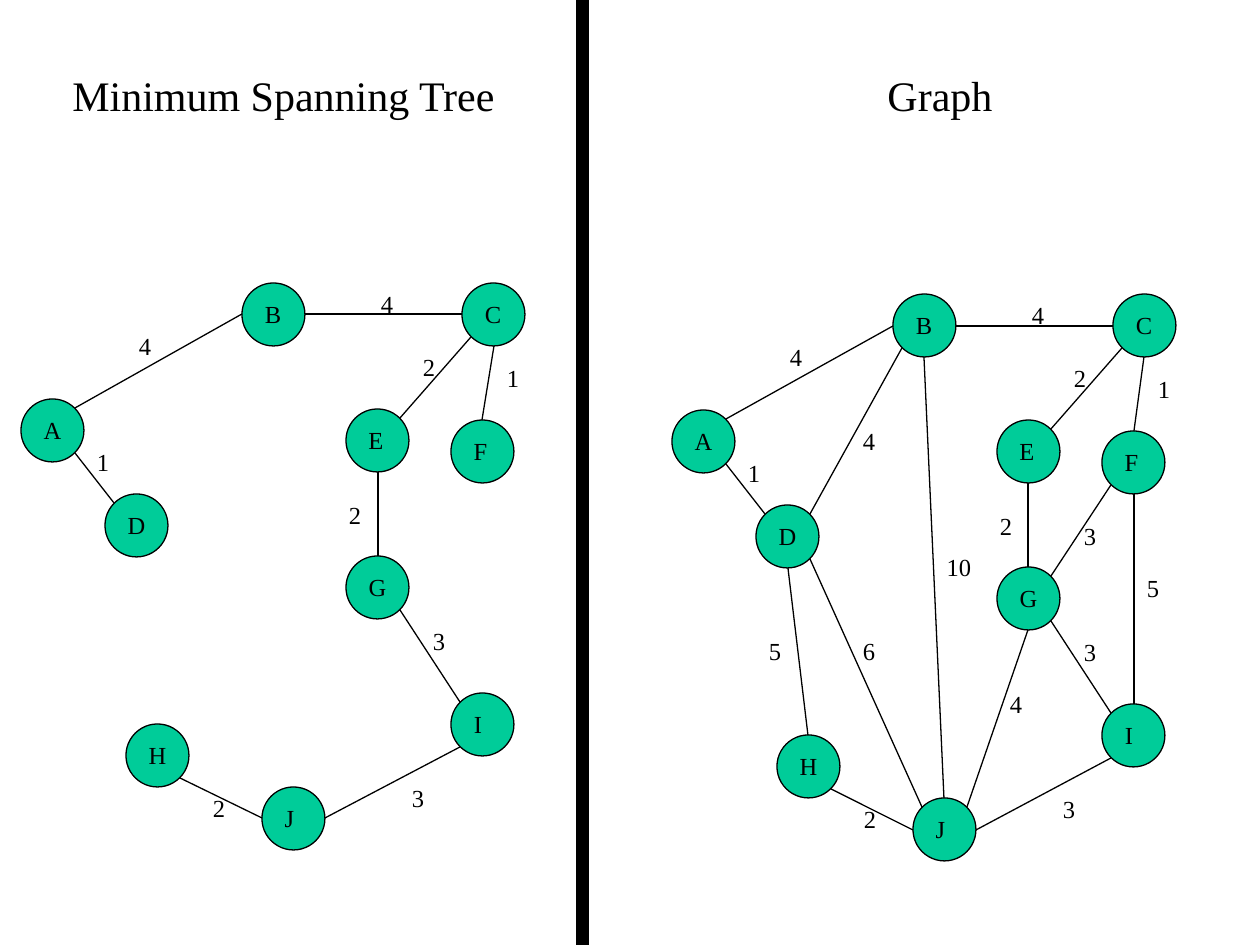
import math
from lxml import etree
from pptx import Presentation
from pptx import util as u
from pptx.dml.color import RGBColor
from pptx.enum import shapes, text
from pptx.oxml import ns

SCALE = 914400 // 126
COLORS = {"node": "00CC99", "ink": "000000"}
FONT = "Times New Roman"
DIAMETER = 63
COMPASS = ["E", "SE", "S", "SW", "W", "NW", "N", "NE"]

prs = Presentation()
prs.slide_width, prs.slide_height = u.Inches(10), u.Inches(7.5)
s = prs.slides.add_slide(prs.slide_layouts[6])
ink = RGBColor.from_string(COLORS["ink"])


def add_box(kind, box, fill):
    sp = s.shapes.add_shape(kind, *[v * SCALE for v in box])
    sp.shadow.inherit = False
    sp.fill.solid()
    sp.fill.fore_color.rgb = RGBColor.from_string(COLORS[fill])
    sp.line.color.rgb = ink
    sp.line.width = u.Pt(0.75)


def add_text(words, box, size=14, wrap=False):
    tf = s.shapes.add_textbox(*[v * SCALE for v in box]).text_frame
    tf.word_wrap = wrap
    tf.auto_size = text.MSO_AUTO_SIZE.SHAPE_TO_FIT_TEXT
    p = tf.paragraphs[0]
    p.alignment = text.PP_ALIGN.CENTER
    r = p.add_run()
    r.text = words
    for name, value in {"name": FONT, "size": u.Pt(size)}.items():
        setattr(r.font, name, value)
    r.font.color.rgb = ink


nodes = {
    "A": (21, 399, 43), "B": (242, 283, 42), "C": (462, 283, 42),
    "D": (105, 494, 43), "E": (346, 409, 40), "F": (451, 420, 39),
    "G": (346, 556, 43), "H": (126, 724, 43), "I": (451, 693, 34),
    "J": (262, 787, 35),
}
tree_edges = [
    ("A", "NE", "B", "W", "4", 126, 325),
    ("B", "E", "C", "W", "4", 368, 283),
    ("A", "SE", "D", "NW", "1", 84, 441),
    ("C", "SW", "E", "NE", "2", 410, 346),
    ("C", "S", "F", "N", "1", 494, 357),
    ("E", "S", "G", "N", "2", 336, 494),
    ("G", "SE", "I", "NW", "3", 420, 620),
    ("I", "SW", "J", "E", "3", 399, 777),
    ("H", "SE", "J", "W", "2", 200, 787),
]
other_edges = [
    ("B", "SW", "D", "NE", "4", 199, 409),
    ("B", "S", "J", "N", "10", 283, 535),
    ("D", "SE", "J", "NW", "6", 199, 619),
    ("D", "S", "H", "N", "5", 105, 619),
    ("G", "S", "J", "NE", "4", 346, 672),
    ("F", "SW", "G", "NE", "3", 420, 504),
    ("F", "S", "I", "N", "5", 483, 556),
]
panels = [
    ("Minimum Spanning Tree", (42, 63, 483, 63), 0, 0, tree_edges),
    ("Graph", (756, 63, 368, 63), 651, 11, tree_edges + other_edges),
]

add_box(shapes.MSO_SHAPE.RECTANGLE, (577, 0, 11, 945), "ink")

for title, title_box, dx, dy, edges in panels:
    add_text(title, title_box, 24, True)
    for letter, (x, y, width) in nodes.items():
        x, y = x + dx, y + dy
        add_box(shapes.MSO_SHAPE.OVAL, (x, y, DIAMETER, DIAMETER), "node")
        add_text(letter, (x + 10, y + 10, width, 42))
    for start, start_side, end, end_side, weight, x, y in edges:
        ends = []
        for letter, side in ((start, start_side), (end, end_side)):
            angle = math.radians(45 * COMPASS.index(side))
            left, top, width = nodes[letter]
            ends += [
                round(left + dx + DIAMETER / 2 * (1 + math.cos(angle))) * SCALE,
                round(top + dy + DIAMETER / 2 * (1 + math.sin(angle))) * SCALE,
            ]
        edge = s.shapes.add_connector(shapes.MSO_CONNECTOR.STRAIGHT, *ends)
        edge.line.color.rgb = ink
        edge.line.width = u.Pt(0.75)
        etree.SubElement(edge._element.spPr, ns.qn("a:effectLst"))
        add_text(weight, (x + dx, y + dy, 50 if len(weight) > 1 else 38, 42))

prs.save("out.pptx")
